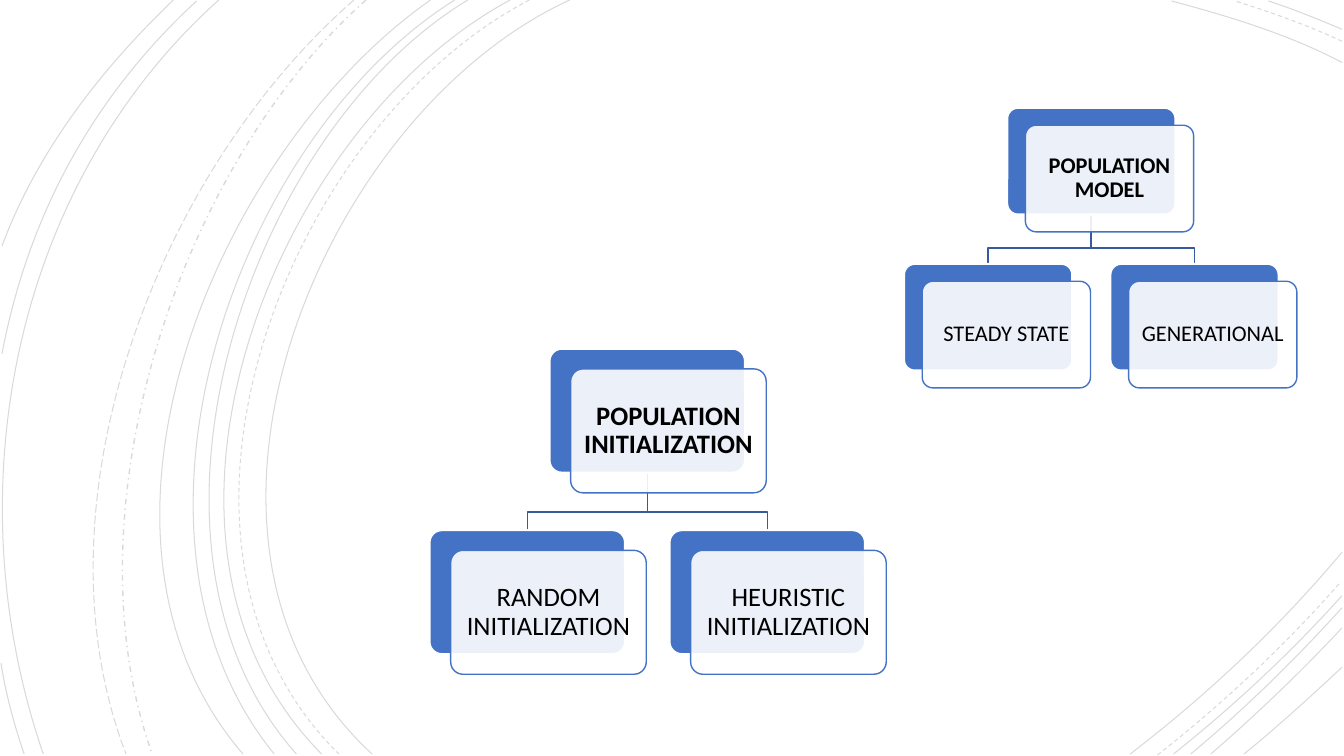
from lxml.etree import SubElement
from pptx import Presentation
from pptx.dml.color import RGBColor
from pptx.enum.dml import MSO_LINE
from pptx.enum.shapes import MSO_SHAPE
from pptx.enum.text import MSO_ANCHOR, PP_ALIGN
from pptx.oxml.ns import qn
from pptx.util import Pt

PX = 9144
WHITE = RGBColor(0xFF, 0xFF, 0xFF)
BLACK = RGBColor(0x00, 0x00, 0x00)
BLUE = RGBColor(0x44, 0x72, 0xC4)
DARK_BLUE = RGBColor(0x36, 0x5B, 0x9D)

ARCS = [
    (MSO_LINE.SOLID, 0.75, [
        [(565, 0), (315, 115), (143, 540), (369, 748)],
        [(1331, 62), (1278, 34), (1218, 16), (1162, 1)],
        [(1121, 748), (1197, 690), (1269, 622), (1331, 548)],
        [(506, 0), (270, 127), (110, 537), (319, 748)],
        [(1331, 29), (1307, 19), (1283, 9), (1258, 1)],
        [(1164, 748), (1223, 701), (1280, 648), (1331, 591)],
        [(464, 0), (244, 133), (110, 541), (294, 748)],
        [(1181, 748), (1234, 704), (1284, 655), (1331, 603)],
        [(451, 0), (231, 138), (97, 533), (272, 748)],
        [(1201, 748), (1246, 709), (1290, 667), (1331, 623)],
        [(427, 0), (217, 147), (53, 529), (241, 748)],
        [(1234, 748), (1267, 721), (1299, 692), (1331, 662)],
        [(217, 0), (11, 185), (-46, 490), (43, 748)],
        [(195, 1), (92, 96), (28, 214), (2, 351)],
        [(1, 658), (6, 689), (14, 719), (24, 748)],
        [(172, 0), (100, 69), (37, 150), (2, 244)],
    ]),
    (MSO_LINE.DASH, 0.75, [
        [(525, 0), (285, 125), (123, 537), (336, 748)],
        [(1331, 41), (1297, 25), (1260, 12), (1225, 1)],
        [(1148, 749), (1213, 698), (1275, 640), (1330, 577)],
    ]),
    (MSO_LINE.DASH_DOT, 1, [[(363, 0), (176, 166), (65, 509), (151, 748)]]),
    (MSO_LINE.LONG_DASH, 0.75, [[(351, 0), (157, 169), (29, 499), (125, 748)]]),
]

TREES = [
    {"root": "POPULATION INITIALIZATION",
     "children": ["RANDOM INITIALIZATION", "HEURISTIC INITIALIZATION"],
     "at": (545, 346), "scale": 1, "font_size": 19},
    {"root": "POPULATION MODEL",
     "children": ["STEADY STATE", "GENERATIONAL"],
     "at": (999, 107), "scale": 0.86, "font_size": 16},
]
CARD_WIDTH, CARD_HEIGHT = 194, 123
FRONT_SHIFT = (21, 20)
SIBLING_PITCH, LEVEL_DROP, BUS_GAP = 238, 180, 18
TEXT_INSET = 8

prs = Presentation()
prs.slide_width, prs.slide_height = 1333 * PX, 750 * PX
slide = prs.slides.add_slide(prs.slide_layouts[6])


def set_opacity(fill_parent, percent):
    colour = fill_parent.find(qn("a:solidFill"))[0]
    SubElement(colour, qn("a:alpha")).set("val", str(percent * 1000))


def add_outline(points, colour, weight):
    builder = slide.shapes.build_freeform(*points[0], scale=PX)
    builder.add_line_segments(points[1:], close=False)
    outline = builder.convert_to_shape()
    outline.shadow.inherit = False
    outline.fill.background()
    outline.line.color.rgb = colour
    outline.line.width = Pt(weight)
    return outline


def add_arc(points, dash, weight):
    arc = add_outline(points, BLACK, weight)
    arc.line.dash_style = dash
    properties = arc._element.spPr
    set_opacity(properties.find(qn("a:ln")), 15)
    segments = list(properties.iter(qn("a:lnTo")))
    track = segments[0].getparent()
    curve = SubElement(track, qn("a:cubicBezTo"))
    for segment in segments:
        curve.append(segment[0])
        track.remove(segment)


def add_card(left, top, scale, fill, line, weight):
    box = [round(v * PX) for v in (left, top, CARD_WIDTH * scale, CARD_HEIGHT * scale)]
    card = slide.shapes.add_shape(MSO_SHAPE.ROUNDED_RECTANGLE, *box)
    card.adjustments[0] = 0.1
    card.shadow.inherit = False
    card.fill.solid()
    card.fill.fore_color.rgb = fill
    card.line.color.rgb = line
    card.line.width = Pt(weight)
    return card


def add_node(label, left, top, scale, font_size, bold):
    add_card(left, top, scale, BLUE, WHITE, 1.5)
    shift_x, shift_y = FRONT_SHIFT
    front = add_card(left + shift_x * scale, top + shift_y * scale, scale, WHITE, BLUE, 1)
    set_opacity(front._element.spPr, 90)
    frame = front.text_frame
    frame.word_wrap = True
    frame.vertical_anchor = MSO_ANCHOR.MIDDLE
    inset = round(TEXT_INSET * scale * PX)
    frame.margin_left = frame.margin_right = inset
    frame.margin_top = frame.margin_bottom = inset
    paragraph = frame.paragraphs[0]
    paragraph.alignment = PP_ALIGN.CENTER
    paragraph.line_spacing = 0.9
    run = paragraph.add_run()
    run.text = label
    run.font.name = "Calibri"
    run.font.size = Pt(font_size)
    run.font.bold = bold
    run.font.color.rgb = BLACK


def add_tree(root, children, at, scale, font_size):
    left, top = at
    child_top = top + LEVEL_DROP * scale
    bus = child_top - BUS_GAP * scale
    root_middle = left + CARD_WIDTH * scale / 2
    root_bottom = top + CARD_HEIGHT * scale
    middle_index = (len(children) - 1) / 2
    offsets = [(i - middle_index) * SIBLING_PITCH * scale for i in range(len(children))]
    for offset in reversed(offsets):
        child_middle = root_middle + offset
        add_outline([(root_middle, root_bottom), (root_middle, bus),
                     (child_middle, bus), (child_middle, child_top)], DARK_BLUE, 1)
    add_node(root, left, top, scale, font_size, True)
    for child, offset in zip(children, offsets):
        add_node(child, left + offset, child_top, scale, font_size, False)


for dash, weight, curves in ARCS:
    for points in curves:
        add_arc(points, dash, weight)
for tree in TREES:
    add_tree(**tree)

prs.save("out.pptx")
